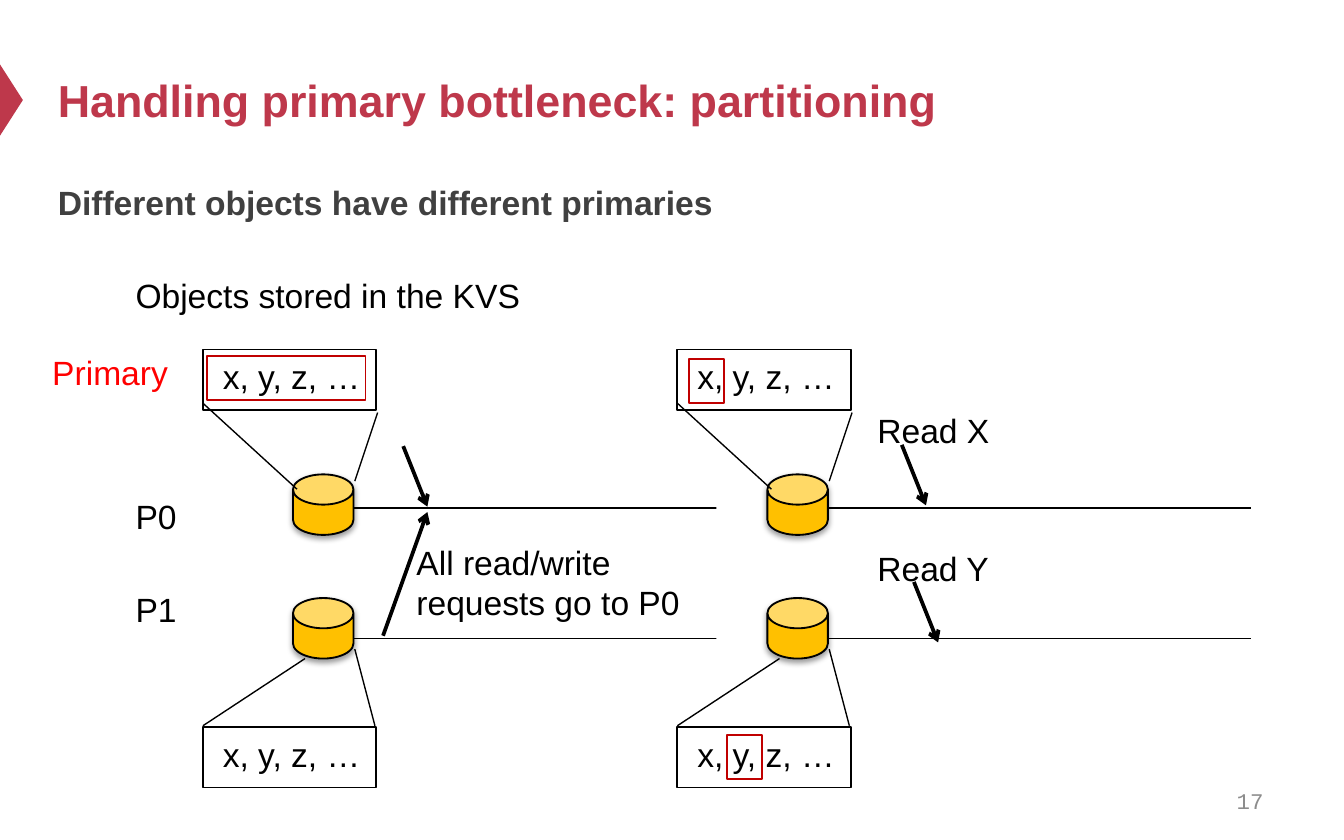
from lxml.etree import SubElement
from pptx import Presentation
from pptx.dml.color import RGBColor
from pptx.enum.shapes import MSO_CONNECTOR, MSO_SHAPE
from pptx.enum.text import MSO_ANCHOR, MSO_AUTO_SIZE, PP_ALIGN
from pptx.oxml import parse_xml
from pptx.oxml.ns import nsdecls, qn
from pptx.util import Inches, Pt

COLORS = {
    "accent": "BE384B", "heading": "404040", "number": "8C8C8C",
    "ink": "000000", "paper": "FFFFFF", "store": "FFC000",
    "primary": "FF0000", "marker": "C00000",
}
PANEL_LEFTS = (1.51, 5.04)
RAIL_TOPS = (3.78, 4.75)
STORE_TOPS = (3.53, 4.45)
STORE_SHADOW = (
    f'<a:effectLst {nsdecls("a")}>'
    '<a:outerShdw blurRad="39370" dist="20320" dir="5400000" rotWithShape="0">'
    '<a:srgbClr val="000000"><a:alpha val="38000"/></a:srgbClr>'
    "</a:outerShdw></a:effectLst>"
)


def color(name):
    return RGBColor.from_string(COLORS[name])


def set_font(para, size, shade, name="Arial", bold=False):
    para.font.size = Pt(size)
    para.font.name = name
    para.font.bold = bold
    para.font.color.rgb = color(shade)


def fill_placeholder(box, bounds, text, size, shade, anchor):
    box.left, box.top, box.width, box.height = map(Inches, bounds)
    frame = box.text_frame
    frame.text = text
    frame.word_wrap = True
    frame.auto_size = MSO_AUTO_SIZE.NONE
    frame.vertical_anchor = anchor
    para = frame.paragraphs[0]
    para.alignment = PP_ALIGN.LEFT
    para.space_before = Pt(0)
    return para


def add_label(page, left, top, width, text, height=0.4, wrap=True, shade="ink"):
    box = page.shapes.add_textbox(*map(Inches, (left, top, width, height)))
    frame = box.text_frame
    frame.text = text
    frame.word_wrap = wrap
    frame.auto_size = MSO_AUTO_SIZE.SHAPE_TO_FIT_TEXT
    set_font(frame.paragraphs[0], 18, shade)


def add_block(page, kind, bounds, fill=None, line=None):
    block = page.shapes.add_shape(kind, *map(Inches, bounds))
    block.shadow.inherit = False
    if fill:
        block.fill.solid()
        block.fill.fore_color.rgb = color(fill)
    else:
        block.fill.background()
    if line:
        block.line.color.rgb = color(line)
        block.line.width = Pt(1)
    else:
        block.line.fill.background()
    return block


def add_store(page, left, top):
    can = add_block(page, MSO_SHAPE.CAN, (left, top, 0.45, 0.45), "store", "ink")
    can.adjustments[0] = 0.5
    properties = can._element.spPr
    properties.replace(properties.find(qn("a:effectLst")), parse_xml(STORE_SHADOW))


def add_line(page, start, end, width=0.75, arrow=False):
    line = page.shapes.add_connector(
        MSO_CONNECTOR.STRAIGHT, *map(Inches, (*start, *end)))
    line.line.color.rgb = color("ink")
    line.line.width = Pt(width)
    if arrow:
        SubElement(line.line._get_or_add_ln(), qn("a:tailEnd"), type="arrow")
    SubElement(line._element.spPr, qn("a:effectLst"))


def add_panel(page, left):
    """Two replicas, each with a callout listing the objects it holds."""
    for top in STORE_TOPS:
        add_store(page, left + 0.67, top)
    for top in (2.6, 5.41):
        add_label(page, left + 0.05, top, 1.24, "x, y, z, …", wrap=False)
        add_block(page, MSO_SHAPE.RECTANGLE, (left, top, 1.29, 0.45), line="ink")
    # Callout edges between each list and its replica
    for start_x, start_y, end_x, end_y in (
        (0, 3, 0.7, 3.64), (1.3, 3.07, 1.13, 3.58),
        (0.76, 4.9, 0, 5.4), (1.13, 4.83, 1.28, 5.4),
    ):
        add_line(page, (left + start_x, start_y), (left + end_x, end_y))


def add_heading(page):
    marker = add_block(page, MSO_SHAPE.ISOSCELES_TRIANGLE,
                       (-0.18, 0.66, 0.53, 0.17), "accent")
    marker.rotation = 90
    title = fill_placeholder(
        page.shapes.title, (0.33, 0.25, 9, 0.98),
        "Handling primary bottleneck: partitioning", 24, "accent", MSO_ANCHOR.MIDDLE)
    set_font(title, 24, "accent", bold=True)
    body = fill_placeholder(
        page.placeholders[1], (0.33, 1.24, 9, 4.12),
        "Different objects have different primaries", 18, "heading", MSO_ANCHOR.TOP)
    body.line_spacing = 1.2
    properties = body._p.get_or_add_pPr()
    properties.set("marL", "0")
    properties.set("indent", "0")
    SubElement(properties, qn("a:buNone"))
    set_font(body, 18, "heading", bold=True)


def add_page_number(page):
    box = page.shapes.add_textbox(*map(Inches, (7.17, 5.79, 2.33, 0.33)))
    frame = box.text_frame
    frame.text = "17"
    frame.word_wrap = True
    frame.vertical_anchor = MSO_ANCHOR.MIDDLE
    para = frame.paragraphs[0]
    para.alignment = PP_ALIGN.RIGHT
    set_font(para, 12, "number", "Courier New")


def main():
    deck = Presentation()
    deck.slide_width, deck.slide_height = Inches(10), Inches(6.25)
    page = deck.slides.add_slide(deck.slide_layouts[1])
    add_heading(page)
    add_page_number(page)

    # Timelines, with a gap between the two panels
    for top in RAIL_TOPS:
        add_line(page, (2.27, top), (9.31, top))
    add_block(page, MSO_SHAPE.RECTANGLE, (5.33, 3.3, 0.46, 2.11), "paper")
    for left in PANEL_LEFTS:
        add_panel(page, left)

    # Objects that each replica is primary for
    for left, top, width in ((1.54, 2.65, 1.18), (5.13, 2.67, 0.26), (5.41, 5.47, 0.26)):
        add_block(page, MSO_SHAPE.RECTANGLE, (left, top, width, 0.33), line="marker")

    # Requests
    for start, end in (
        ((2.85, 4.73), (3.18, 3.81)), ((3, 3.32), (3.18, 3.77)),
        ((6.71, 3.31), (6.89, 3.76)), ((6.8, 4.33), (6.98, 4.78)),
    ):
        add_line(page, start, end, width=2, arrow=True)

    # Labels
    add_label(page, 0.91, 2, 3.09, "Objects stored in the KVS", wrap=False)
    add_label(page, 0.29, 2.57, 1.09, "Primary", shade="primary")
    add_label(page, 0.91, 3.64, 0.71, "P0")
    add_label(page, 0.91, 4.33, 0.71, "P1")
    add_label(page, 3, 3.98, 2.32, "All read/write requests go to P0", height=0.71)
    add_label(page, 6.43, 3, 2.32, "Read X")
    add_label(page, 6.43, 4.03, 2.32, "Read Y")

    deck.save("out.pptx")


if __name__ == "__main__":
    main()
